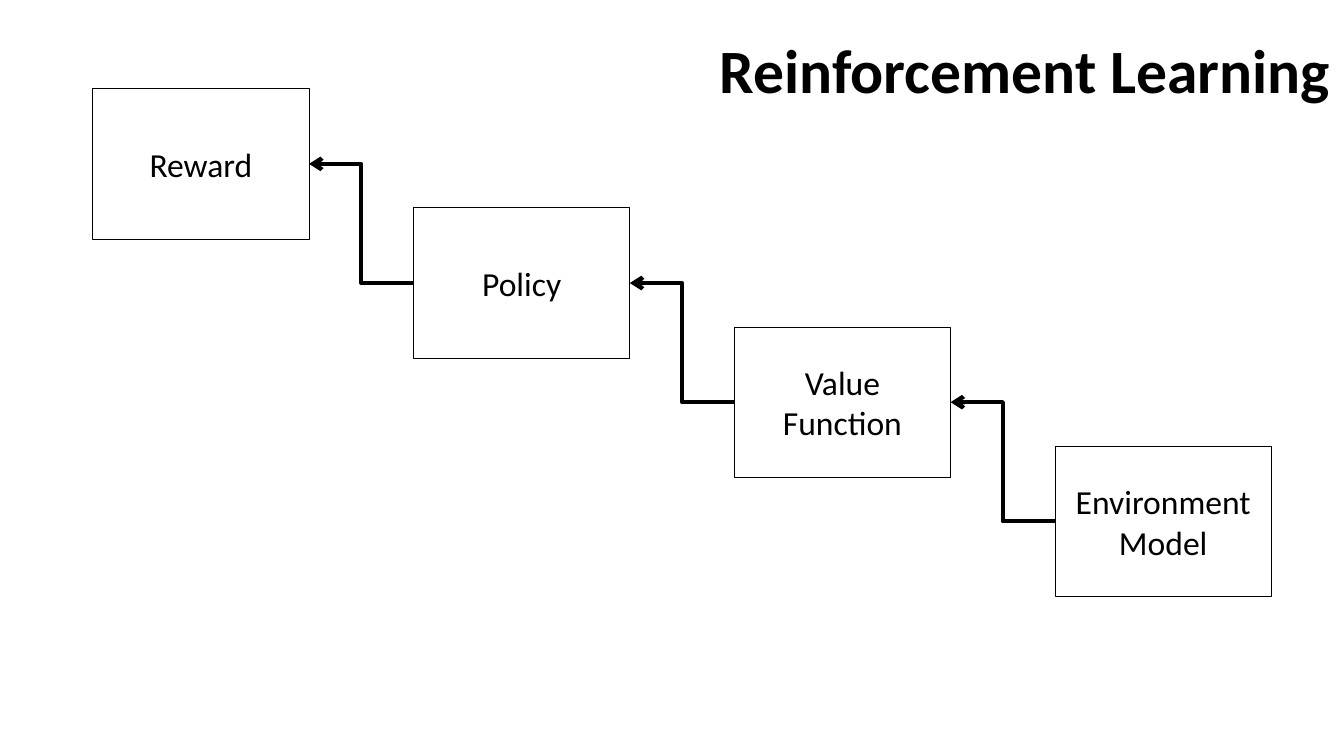
from itertools import pairwise

from lxml import etree
from pptx import Presentation
from pptx.dml.color import RGBColor
from pptx.enum.shapes import MSO_CONNECTOR, MSO_SHAPE
from pptx.enum.text import MSO_ANCHOR, PP_ALIGN
from pptx.oxml.ns import qn
from pptx.util import Inches, Pt

ELBOW = MSO_CONNECTOR.ELBOW
RECTANGLE = MSO_SHAPE.RECTANGLE
MIDDLE = MSO_ANCHOR.MIDDLE
CENTER, RIGHT = PP_ALIGN.CENTER, PP_ALIGN.RIGHT
LEFT_SIDE, RIGHT_SIDE = 1, 3
TITLE_ONLY = 5

COLORS = {"ink": "000000", "paper": "FFFFFF"}
TITLE_FONT = {"name": "Calibri", "size": Pt(33), "bold": True}
STEP_FONT = {"name": "Calibri", "size": Pt(18), "bold": False}
INSETS = {"margin_left": Inches(0.1), "margin_right": Inches(0.1),
          "margin_top": Inches(0.05), "margin_bottom": Inches(0.05)}

STEPS = ["Reward", "Policy", "Value Function", "Environment Model"]
STEP_WIDTH, STEP_HEIGHT = 1.61, 1.12


def color(name):
    return RGBColor.from_string(COLORS[name])


def write(shape, text, font, alignment):
    frame = shape.text_frame
    frame.text = text
    frame.word_wrap = True
    frame.vertical_anchor = MIDDLE
    for key, value in INSETS.items():
        setattr(frame, key, value)
    paragraph = frame.paragraphs[0]
    paragraph.alignment = alignment
    for key, value in font.items():
        setattr(paragraph.font, key, value)
    paragraph.font.color.rgb = color("ink")
    return paragraph


def place_title(slide, left, top, width, height):
    title = slide.shapes.title
    title.left, title.top = Inches(left), Inches(top)
    title.width, title.height = Inches(width), Inches(height)
    paragraph = write(title, "Reinforcement Learning", TITLE_FONT, RIGHT)
    paragraph.line_spacing = 0.9
    paragraph.space_before = Pt(0)


def add_step(slide, text, left, top):
    step = slide.shapes.add_shape(RECTANGLE, Inches(left), Inches(top),
                                  Inches(STEP_WIDTH), Inches(STEP_HEIGHT))
    step.shadow.inherit = False
    step.fill.solid()
    step.fill.fore_color.rgb = color("paper")
    step.line.color.rgb = color("ink")
    step.line.width = Pt(0.5)
    write(step, text, STEP_FONT, CENTER)
    return step


def add_arrow(slide, source, target):
    arrow = slide.shapes.add_connector(ELBOW, 0, 0, 0, 0)
    arrow.begin_connect(source, LEFT_SIDE)
    arrow.end_connect(target, RIGHT_SIDE)
    arrow.line.color.rgb = color("ink")
    arrow.line.width = Pt(2.25)
    properties = arrow.element.spPr
    etree.SubElement(properties.find(qn("a:ln")), qn("a:tailEnd"), type="arrow")
    etree.SubElement(properties, qn("a:effectLst"))


def place_staircase(slide, left, top, width, height):
    """Steps descend evenly from the top left to the bottom right of the box."""
    gaps = len(STEPS) - 1
    across = (width - STEP_WIDTH) / gaps
    down = (height - STEP_HEIGHT) / gaps
    steps = [add_step(slide, text, left + i * across, top + i * down)
             for i, text in enumerate(STEPS)]
    for upper, lower in pairwise(steps):
        add_arrow(slide, lower, upper)


def main():
    presentation = Presentation()
    presentation.slide_width = Inches(10)
    presentation.slide_height = Inches(10) * 9 // 16
    slide = presentation.slides.add_slide(presentation.slide_layouts[TITLE_ONLY])
    slide.background.fill.solid()
    slide.background.fill.fore_color.rgb = color("paper")

    # Staircase of linked steps
    place_staircase(slide, 0.69, 0.66, 8.77, 3.78)
    # Title at the top right
    place_title(slide, 1.38, 0, 8.62, 1.09)

    presentation.save("out.pptx")


if __name__ == "__main__":
    main()
